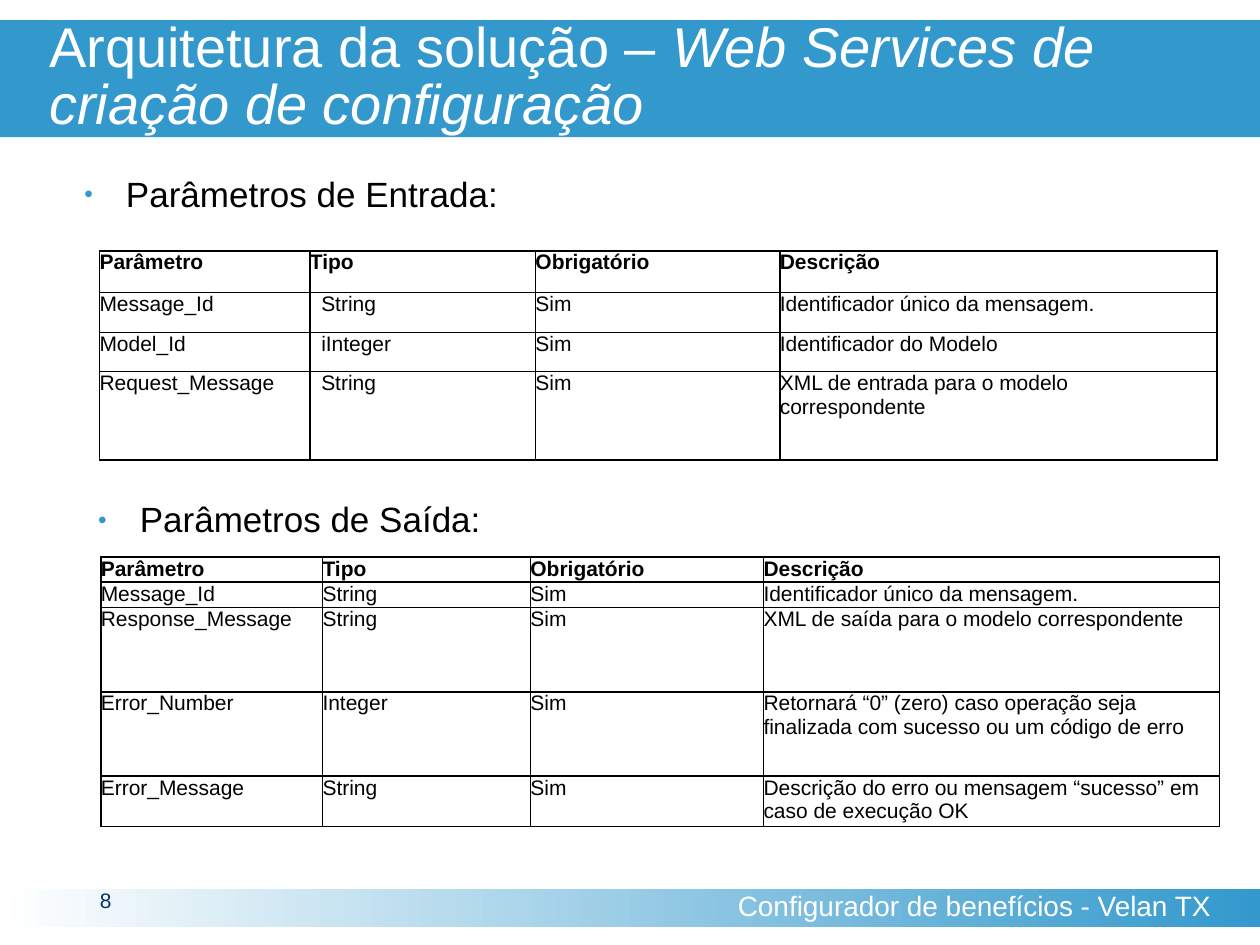
import dataclasses

import lxml.etree
import pptx
import pptx.dml.color
import pptx.enum.shapes
import pptx.enum.text
import pptx.oxml.ns
import pptx.util

Inches = pptx.util.Inches
Pt = pptx.util.Pt
Color = pptx.dml.color.RGBColor.from_string
Align = pptx.enum.text.PP_ALIGN
Anchor = pptx.enum.text.MSO_ANCHOR
qn = pptx.oxml.ns.qn


@dataclasses.dataclass(frozen=True)
class Theme:
    font: str = "Arial"
    blue: str = "3399CC"
    navy: str = "003366"
    white: str = "FFFFFF"
    black: str = "000000"
    title: int = 32
    heading: int = 20
    footer: int = 16
    body: int = 12


theme = Theme()


def style(paragraph, size, color, bold=False):
    font = paragraph.font
    font.name = theme.font
    font.size = Pt(size)
    font.bold = bold
    font.color.rgb = Color(color)


def add_text(slide, box, text, size, color):
    shape = slide.shapes.add_textbox(*map(Inches, box))
    frame = shape.text_frame
    frame.word_wrap = True
    frame.margin_left = frame.margin_right = 0
    frame.margin_top = frame.margin_bottom = 0
    paragraph = frame.paragraphs[0]
    paragraph.text = text
    style(paragraph, size, color)
    return frame, paragraph


presentation = pptx.Presentation()
presentation.slide_width = Inches(10)
presentation.slide_height = Inches(7.5)
slide = presentation.slides.add_slide(presentation.slide_layouts[6])

bars = []
for top, height in [(7.06, 0.3), (0.16, 0.93)]:
    bar = slide.shapes.add_shape(
        pptx.enum.shapes.MSO_SHAPE.RECTANGLE,
        0, Inches(top), Inches(10), Inches(height),
    )
    bar.shadow.inherit = False
    bar.line.fill.background()
    bars.append(bar)
footer_bar, title_bar = bars

footer_bar.fill.gradient()
footer_bar.fill.gradient_angle = 0
for stop, color in zip(footer_bar.fill.gradient_stops, [theme.white, theme.blue]):
    stop.color.rgb = Color(color)

title_bar.fill.solid()
title_bar.fill.fore_color.rgb = Color(theme.blue)
frame = title_bar.text_frame
frame.word_wrap = True
frame.vertical_anchor = Anchor.MIDDLE
frame.margin_left = Inches(0.39)
frame.margin_right = frame.margin_top = frame.margin_bottom = 0
paragraph = frame.paragraphs[0]
paragraph.alignment = Align.LEFT
paragraph.line_spacing = 0.85
style(paragraph, theme.title, theme.white)
paragraph.add_run().text = "Arquitetura da solução – "
run = paragraph.add_run()
run.text = "Web Services de criação de configuração"
run.font.italic = True

frame, paragraph = add_text(
    slide, (5.31, 7.06, 4.69, 0.3),
    "Configurador de benefícios - Velan TX", theme.footer, theme.white,
)
frame.vertical_anchor = Anchor.MIDDLE
frame.margin_right = Inches(0.39)
paragraph.alignment = Align.RIGHT
paragraph.line_spacing = 0.8

frame, paragraph = add_text(
    slide, (0.31, 7.06, 1.06, 0.31), "8", theme.body, theme.navy
)
paragraph.alignment = Align.CENTER
paragraph.line_spacing = Pt(13)

for left, top, text in [
    (0.42, 1.41, "Parâmetros de Entrada:"),
    (0.53, 3.99, "Parâmetros de Saída:"),
]:
    frame, paragraph = add_text(
        slide, (left, top, 8.53, 0.3), text, theme.heading, theme.black
    )
    paragraph.line_spacing = 0.9
    paragraph.space_before = Pt(3)
    properties = paragraph._p.get_or_add_pPr()
    properties.set("marL", str(Inches(0.58)))
    properties.set("indent", str(Inches(-0.33)))
    bullet_color = lxml.etree.SubElement(properties, qn("a:buClr"))
    lxml.etree.SubElement(bullet_color, qn("a:srgbClr"), val=theme.blue)
    lxml.etree.SubElement(properties, qn("a:buSzPct"), val="70000")
    lxml.etree.SubElement(properties, qn("a:buFont"), typeface=theme.font)
    lxml.etree.SubElement(properties, qn("a:buChar"), char="•")
    for defaults in properties.findall(qn("a:defRPr")):
        properties.append(defaults)

header = ("Parâmetro", "Tipo", "Obrigatório", "Descrição")
input_rows = [
    header,
    ("Message_Id", "String", "Sim", "Identificador único da mensagem."),
    ("Model_Id", "iInteger", "Sim", "Identificador do Modelo"),
    ("Request_Message", "String", "Sim",
     "XML de entrada para o modelo correspondente"),
]
output_rows = [
    header,
    ("Message_Id", "String", "Sim", "Identificador único da mensagem."),
    ("Response_Message", "String", "Sim",
     "XML de saída para o modelo correspondente"),
    ("Error_Number", "Integer", "Sim",
     "Retornará “0” (zero) caso operação seja finalizada com sucesso "
     "ou um código de erro"),
    ("Error_Message", "String", "Sim",
     "Descrição do erro ou mensagem “sucesso” em caso de execução OK"),
]
tables = [
    (0.79, 1.99, (1.67, 1.79, 1.94, 3.47), (0.33, 0.32, 0.31, 0.7),
     0.09, input_rows),
    (0.8, 4.42, (1.76, 1.65, 1.85, 3.62), (0.2, 0.2, 0.67, 0.67, 0.4),
     0, output_rows),
]

for left, top, widths, heights, type_indent, rows in tables:
    table = slide.shapes.add_table(
        len(rows), len(widths), Inches(left), Inches(top),
        Inches(sum(widths)), Inches(sum(heights)),
    ).table
    table.first_row = table.horz_banding = False
    for column, width in zip(table.columns, widths):
        column.width = Inches(width)
    for row, height in zip(table.rows, heights):
        row.height = Inches(height)
    for row_index, values in enumerate(rows):
        for column_index, value in enumerate(values):
            cell = table.cell(row_index, column_index)
            indented = row_index > 0 and column_index == 1
            cell.margin_left = Inches(type_indent if indented else 0)
            cell.margin_right = cell.margin_top = cell.margin_bottom = 0
            paragraph = cell.text_frame.paragraphs[0]
            paragraph.text = value
            style(paragraph, theme.body, theme.black, bold=row_index == 0)
            properties = cell._tc.get_or_add_tcPr()
            for side in ("lnL", "lnR", "lnT", "lnB"):
                border = lxml.etree.SubElement(
                    properties, qn(f"a:{side}"), w=str(Pt(1))
                )
                fill = lxml.etree.SubElement(border, qn("a:solidFill"))
                lxml.etree.SubElement(fill, qn("a:srgbClr"), val=theme.black)
            cell.fill.background()

presentation.save("out.pptx")
